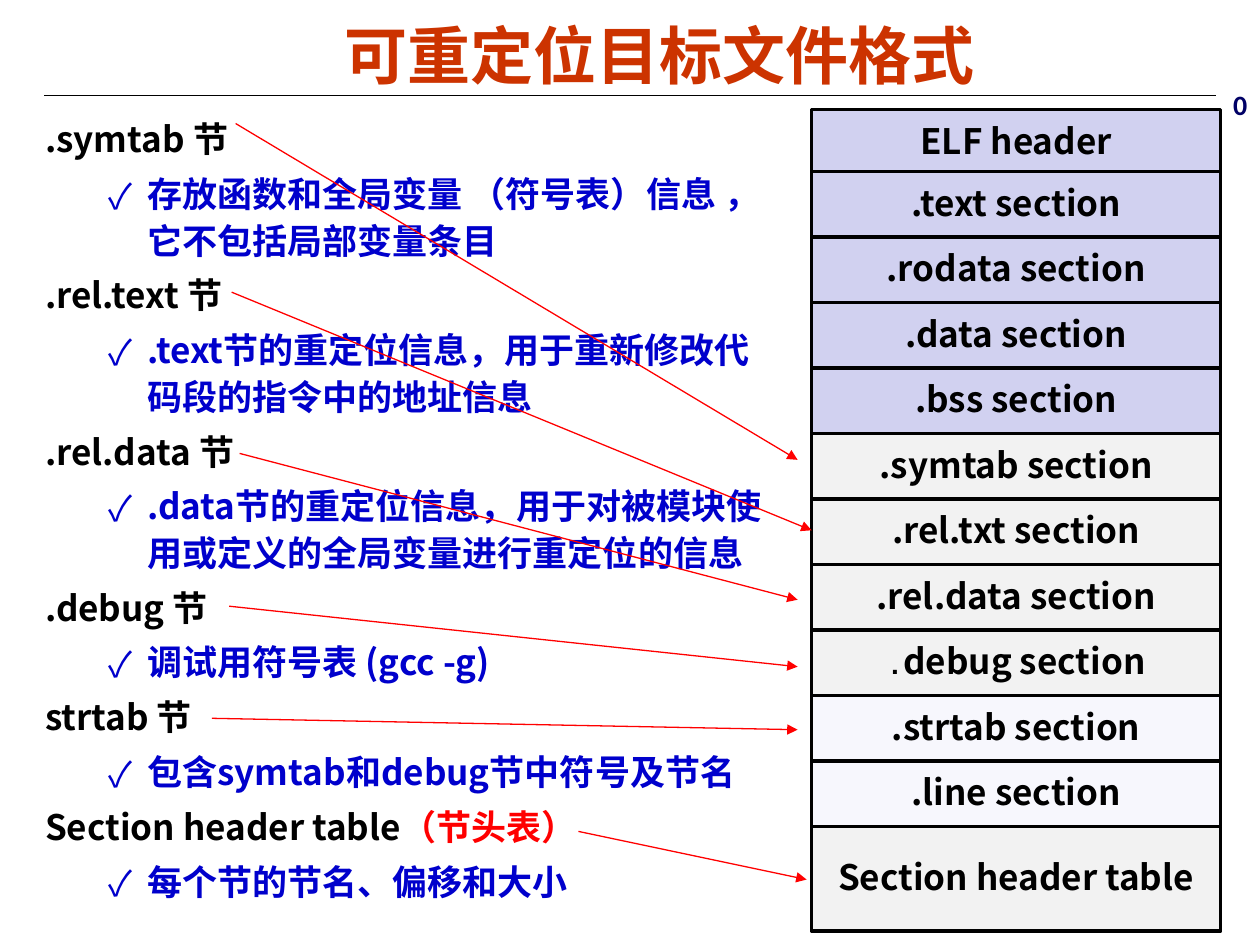
from dataclasses import dataclass

from lxml.etree import SubElement as Sub
from pptx import Presentation
from pptx.dml.color import RGBColor as RGB
from pptx.enum.shapes import MSO_CONNECTOR as Link, MSO_SHAPE as Shape
from pptx.enum.text import MSO_ANCHOR as Anchor, PP_ALIGN as Align
from pptx.oxml.ns import qn
from pptx.util import Cm, Pt


@dataclass(frozen=True)
class Theme:
    font: str = "Noto Sans CJK SC"
    head: str = "Arial"
    mono: str = "Courier New"
    mark: str = "Calibri"
    title: str = "CC3300"
    ink: str = "000000"
    note: str = "0000CC"
    red: str = "FF0000"
    navy: str = "000066"
    code: str = "D1D1F0"
    link: str = "F2F2F2"
    tint: str = "D6D6F5"
    big: int = 36
    text: int = 20
    small: int = 16


T = Theme()

TITLE = "可重定位目标文件格式"

# heading runs, note, arrow start, arrow end (cm)
TOPICS = [
    ([(".symtab 节", T.ink)],
     "存放函数和全局变量 （符号表）信息 ，它不包括局部变量条目",
     (4.75, 2.49), (16.08, 9.27)),
    ([(".rel.text 节", T.ink)],
     ".text节的重定位信息，用于重新修改代码段的指令中的地址信息",
     (4.67, 5.89), (16.36, 10.69)),
    ([(".rel.data 节", T.ink)],
     ".data节的重定位信息，用于对被模块使用或定义的全局变量进行重定位的信息",
     (4.83, 9.14), (16.08, 12.09)),
    ([(".debug 节", T.ink)],
     "调试用符号表 (gcc -g)",
     (4.62, 12.22), (16.08, 13.44)),
    ([("strtab 节", T.ink)],
     "包含symtab和debug节中符号及节名",
     (4.27, 14.48), (16.08, 14.71)),
    ([("Section header table", T.ink), ("（节头表）", T.red)],
     "每个节的节名、偏移和大小",
     (11.66, 16.76), (16.26, 17.73)),
]

# fill, opacity in percent, labels
BANDS = [
    (T.code, 100, ["ELF header", ".text section", ".rodata section",
                   ".data section", ".bss section"]),
    (T.link, 100, [".symtab section", ".rel.txt section",
                   ".rel.data section", ".debug section"]),
    (T.tint, 19, [".strtab section", ".line section"]),
    (T.link, 100, ["Section header table"]),
]
LEFT, TOP, WIDE, ROW, LAST = 16.36, 2.21, 8.25, 1.32, 2.11
LAP = 0.07  # the second row overlaps the first by this much


def add_run(para, text, color=T.ink, size=T.text, face=T.font):
    run = para.add_run()
    run.text = text
    font = run.font
    font.size, font.bold, font.name = Pt(size), True, face
    font.color.rgb = RGB.from_string(color)
    Sub(font._element, qn("a:ea"), typeface=T.font)


def add_box(slide, x, y, wide, high, wrap=True):
    box = slide.shapes.add_textbox(Cm(x), Cm(y), Cm(wide), Cm(high))
    box.text_frame.word_wrap = wrap
    return box.text_frame


def add_line(slide, start, end, color, arrow=False):
    line = slide.shapes.add_connector(
        Link.STRAIGHT, *(Cm(v) for v in (*start, *end)))
    line.line.color.rgb = RGB.from_string(color)
    line.line.width = Pt(0.75)
    if arrow:
        Sub(line.line._get_or_add_ln(), qn("a:tailEnd"), type="triangle")
    Sub(line._element.spPr, qn("a:effectLst"))


def set_para(para, left, hang, first=False):
    props = para._p.get_or_add_pPr()
    props.set("marL", str(Cm(left)))
    props.set("indent", str(-Cm(hang)))
    para.line_spacing = 1.1
    if not first:
        para.space_before = Pt(5)


def add_check(para):
    props = para._p.get_or_add_pPr()
    tone = Sub(props, qn("a:buClr"))
    Sub(tone, qn("a:srgbClr"), val=T.note)
    Sub(props, qn("a:buFont"), typeface=T.font)
    Sub(props, qn("a:buChar"), char="✓")


def add_title(slide):
    frame = add_box(slide, 1.19, 0, 24.21, 2.18)
    frame.vertical_anchor = Anchor.MIDDLE
    para = frame.paragraphs[0]
    para.alignment = Align.CENTER
    add_run(para, TITLE, T.title, T.big, T.head)
    add_line(slide, (0.89, 1.93), (24.51, 1.93), T.ink)


def add_notes(slide):
    frame = add_box(slide, 0.66, 2.17, 15.37, 16.74)
    for i, (head, note, *_) in enumerate(TOPICS):
        para = frame.add_paragraph() if i else frame.paragraphs[0]
        set_para(para, 0.97, 0.97, first=not i)
        for text, color in head:
            add_run(para, text, color)
        para = frame.add_paragraph()
        para.level = 1
        add_check(para)
        set_para(para, 2.06, 0.79)
        add_run(para, note, T.note)


def add_cell(slide, label, y, high, fill, alpha):
    cell = slide.shapes.add_shape(
        Shape.RECTANGLE, Cm(LEFT), Cm(y), Cm(WIDE), Cm(high))
    cell.shadow.inherit = False
    cell.fill.solid()
    cell.fill.fore_color.rgb = RGB.from_string(fill)
    if alpha < 100:
        tone = cell._element.spPr.find(".//" + qn("a:srgbClr"))
        Sub(tone, qn("a:alpha"), val=str(alpha * 1000))
    cell.line.color.rgb = RGB.from_string(T.ink)
    cell.line.width = Pt(2)
    frame = cell.text_frame
    frame.word_wrap = False
    frame.vertical_anchor = Anchor.MIDDLE
    para = frame.paragraphs[0]
    para.alignment = Align.CENTER
    para.line_spacing = 0.94
    if label == ".debug section":
        add_run(para, label[0], size=T.small, face=T.mono)
        label = label[1:]
    add_run(para, label)


def add_stack(slide):
    rows = [(label, fill, alpha)
            for fill, alpha, labels in BANDS for label in labels]
    for i, (label, fill, alpha) in enumerate(rows):
        y = TOP + i * ROW - (LAP if i else 0)
        high = LAST if i == len(rows) - 1 else ROW
        add_cell(slide, label, y, high, fill, alpha)
    para = add_box(slide, 24.61, 1.68, 0.79, 0.91, wrap=False).paragraphs[0]
    para.line_spacing = 0.98
    add_run(para, "0", T.navy, T.small, T.mark)


def main():
    deck = Presentation()
    deck.slide_width, deck.slide_height = Cm(25.4), Cm(19.05)
    slide = deck.slides.add_slide(deck.slide_layouts[6])
    add_title(slide)
    add_notes(slide)
    add_stack(slide)
    for *_, start, end in TOPICS:
        add_line(slide, start, end, T.red, arrow=True)
    deck.save("out.pptx")


if __name__ == "__main__":
    main()
